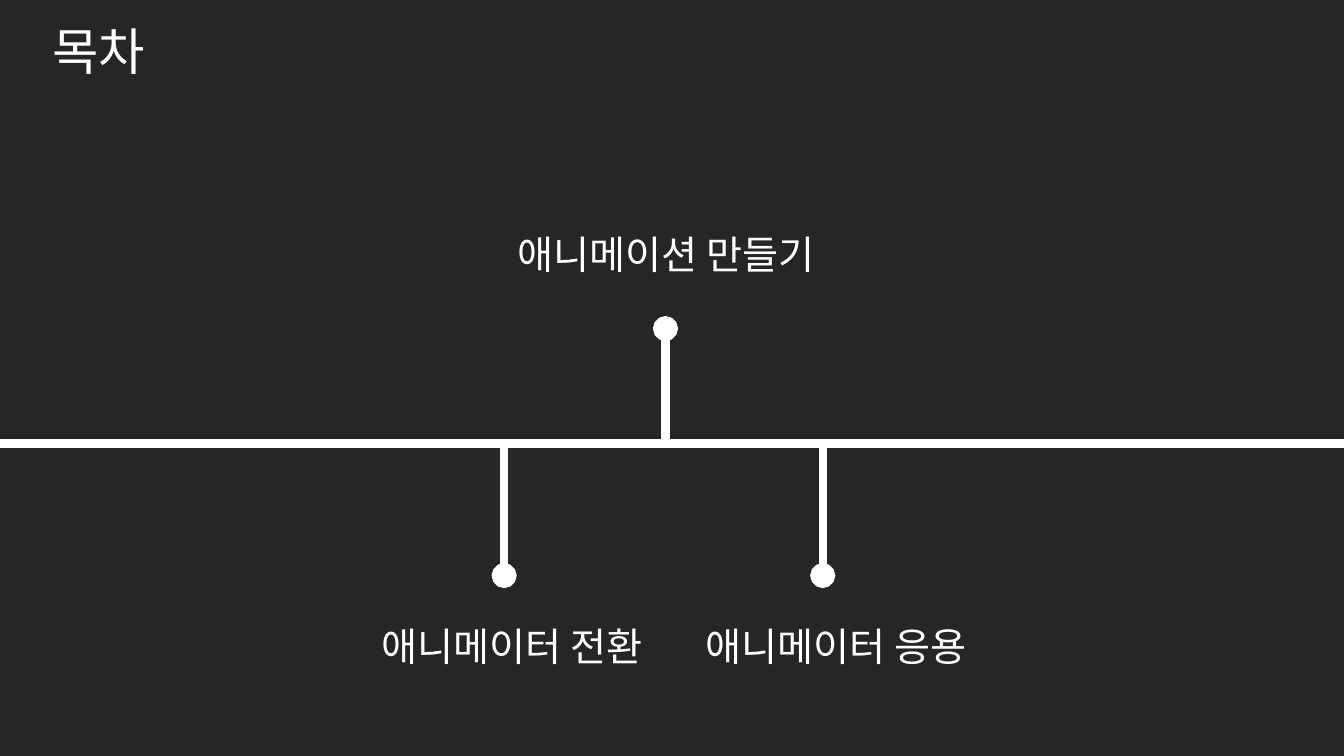
from lxml.etree import SubElement
from pptx import Presentation
from pptx.dml.color import RGBColor
from pptx.enum.shapes import MSO_CONNECTOR
from pptx.enum.text import MSO_ANCHOR, MSO_AUTO_SIZE, PP_ALIGN
from pptx.oxml.ns import qn
from pptx.util import Inches, Pt

BACKGROUND = RGBColor(0x26, 0x26, 0x26)
WHITE = RGBColor(0xFF, 0xFF, 0xFF)
FONT = "Noto Sans CJK KR"
AXIS_Y = 4.4
TOPICS = [
    ("애니메이터 전환", 5, 5.71, (3.55, 6.12, 3.05, 0.57)),
    ("애니메이션 만들기", 6.6, 3.26, (4.94, 2.24, 3.33, 0.57)),
    ("애니메이터 응용", 8.16, 5.71, (6.81, 6.12, 2.97, 0.57)),
]


def write_text(frame, text, size=28, color=WHITE, align=PP_ALIGN.CENTER):
    """Fill a text frame with one formatted paragraph."""
    frame.word_wrap = True
    frame.auto_size = MSO_AUTO_SIZE.SHAPE_TO_FIT_TEXT
    frame.vertical_anchor = MSO_ANCHOR.TOP
    paragraph = frame.paragraphs[0]
    paragraph.alignment = align
    run = paragraph.add_run()
    run.text = text
    run.font.size = Pt(size)
    run.font.name = FONT
    run.font.color.rgb = color
    SubElement(run.font._element, qn("a:ea"), typeface=FONT)


def place_title(slide, text, box):
    """Move the title placeholder to its box and write the title."""
    title = slide.shapes.title
    title.left, title.top, title.width, title.height = map(Inches, box)
    write_text(title.text_frame, text, size=36)


def add_label(slide, text, box):
    """Add a topic label."""
    label = slide.shapes.add_textbox(*map(Inches, box))
    write_text(label.text_frame, text)


def add_line(slide, start, end, dot=False):
    """Add a thick white line, with a round dot at its end if asked."""
    line = slide.shapes.add_connector(
        MSO_CONNECTOR.STRAIGHT, *map(Inches, start + end))
    line.line.color.rgb = WHITE
    line.line.width = Pt(6)
    if dot:
        SubElement(line.line._get_or_add_ln(), qn("a:tailEnd"), type="oval")
    SubElement(line._element.spPr, qn("a:effectLst"))


def main():
    """Build the contents slide and save it."""
    deck = Presentation()
    deck.slide_width = Inches(13.33)
    deck.slide_height = Inches(7.5)
    slide = deck.slides.add_slide(deck.slide_layouts.get_by_name("Title Only"))
    slide.background.fill.solid()
    slide.background.fill.fore_color.rgb = BACKGROUND

    place_title(slide, "목차", (-1.05, 0.15, 4.06, 0.71))
    add_line(slide, (0, AXIS_Y), (13.43, AXIS_Y))
    for topic, x, dot_y, label_box in TOPICS:
        add_line(slide, (x, AXIS_Y), (x, dot_y), dot=True)
        add_label(slide, topic, label_box)
    deck.save("out.pptx")


if __name__ == "__main__":
    main()
